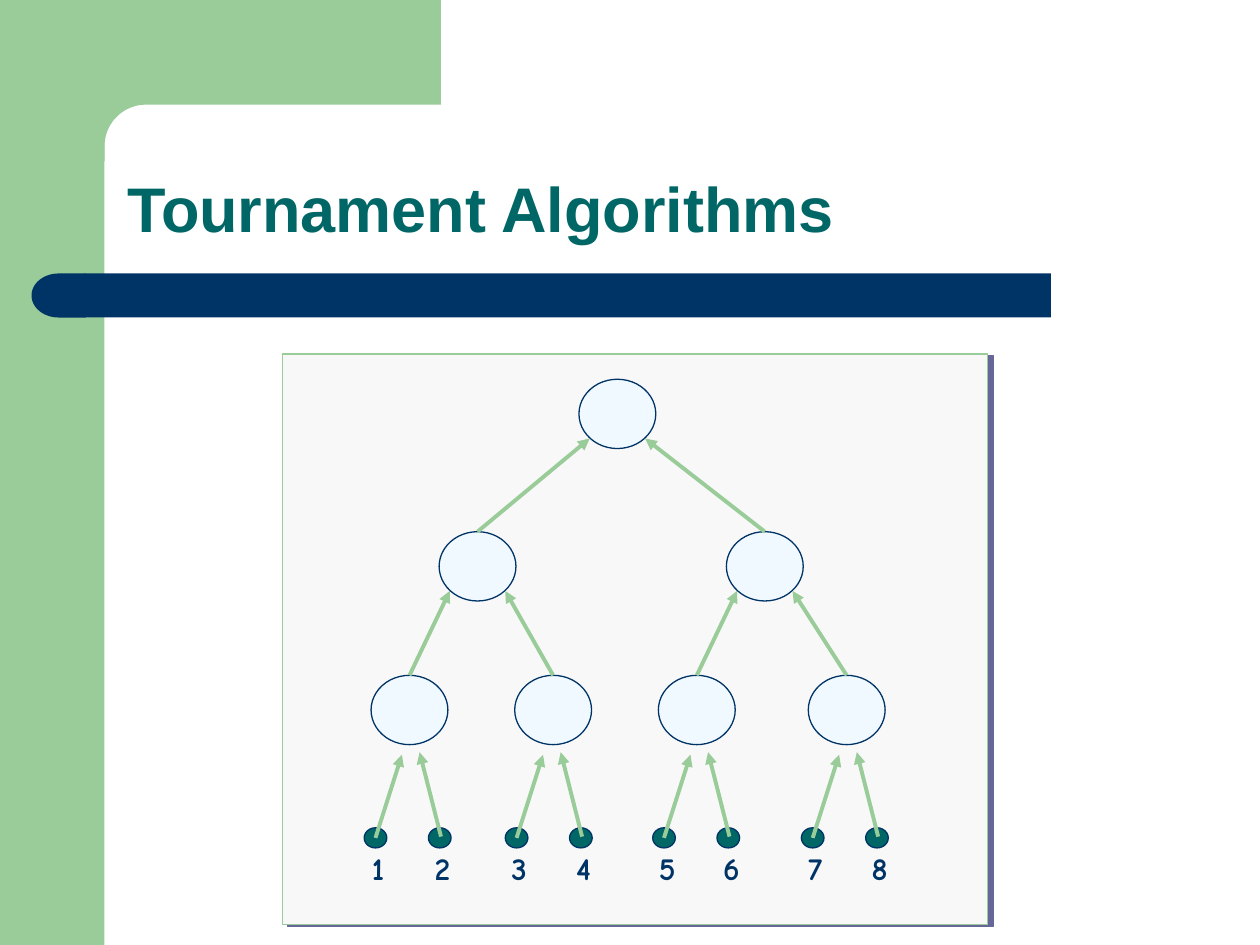
from math import cos, pi, sin

from lxml.etree import SubElement
from pptx import Presentation
from pptx.dml.color import RGBColor
from pptx.enum.shapes import MSO_CONNECTOR, MSO_SHAPE
from pptx.enum.text import MSO_ANCHOR, PP_ALIGN
from pptx.oxml.ns import qn
from pptx.util import Inches, Pt

THEME = {
    "green": RGBColor.from_string("99CC99"),
    "navy": RGBColor.from_string("003366"),
    "teal": RGBColor.from_string("006666"),
    "panel": RGBColor.from_string("F8F8F8"),
    "node": RGBColor.from_string("EFF9FF"),
    "shadow": "666699",
    "title_size": Pt(36),
    "label_size": Pt(18),
    "thin": Pt(0.75),
    "thick": Pt(2.25),
}

prs = Presentation()
prs.slide_width, prs.slide_height = Inches(10), Inches(7.5)
COL = prs.slide_width / 1000  # grid of 1000 columns
ROW = prs.slide_height / 750  # and 750 rows
s = prs.slides.add_slide(prs.slide_layouts[5])


def add_text(tf, text, font, size, color, align, anchor, spacing=1.0):
    tf.vertical_anchor = anchor
    p = tf.paragraphs[0]
    p.alignment, p.line_spacing = align, spacing
    r = p.add_run()
    r.text = text
    r.font.name, r.font.size, r.font.bold = font, size, True
    r.font.color.rgb = color


def add_box(kind, x, y, w, h, fill, line=None):
    sp = s.shapes.add_shape(kind, int(x * COL), int(y * ROW), int(w * COL), int(h * ROW))
    sp.shadow.inherit = False
    sp.fill.solid()
    sp.fill.fore_color.rgb = fill
    if line is None:
        sp.line.fill.background()
    else:
        sp.line.color.rgb, sp.line.width = line, THEME["thin"]
    return sp


# Green side band and top band with a rounded inner corner
add_box(MSO_SHAPE.RECTANGLE, 0, 0, 83, 750, THEME["green"])
arc = [(116 - 33 * sin(i * pi / 24), 116 - 33 * cos(i * pi / 24)) for i in range(13)]
outline = [(350, 83), *arc, (83, 128), (50, 128), (50, 0)]
builder = s.shapes.build_freeform(3500, 0, scale=COL / 10)
builder.add_line_segments([(x * 10, y * 10) for x, y in outline], close=True)
band = builder.convert_to_shape()
band.shadow.inherit = False
band.fill.solid()
band.fill.fore_color.rgb = THEME["green"]
band.line.fill.background()

# Navy bar with a round left end
add_box(MSO_SHAPE.RECTANGLE, 67, 217, 767, 35, THEME["navy"])
add_box(MSO_SHAPE.FLOWCHART_DELAY, 25, 217, 43, 35, THEME["navy"]).rotation = 180

# Title
title = s.shapes.title
title.left, title.top = int(91 * COL), int(91 * ROW)
title.width, title.height = int(851 * COL), int(109 * ROW)
add_text(title.text_frame, "Tournament Algorithms", font="Arial", size=THEME["title_size"],
         color=THEME["teal"], align=PP_ALIGN.LEFT, anchor=MSO_ANCHOR.BOTTOM, spacing=0.9)

# Panel with a hard shadow
panel = add_box(MSO_SHAPE.RECTANGLE, 224, 281, 560, 453, THEME["panel"], THEME["green"])
effects = panel._element.spPr.find(qn("a:effectLst"))
shadow = SubElement(effects, qn("a:outerShdw"), dist=str(Pt(3.2)), dir=str(18 * 60000),
                    algn="ctr", rotWithShape="0")
SubElement(shadow, qn("a:srgbClr"), val=THEME["shadow"])

# Match nodes: row top and the centre column of each node
NODE_W, NODE_H = 61, 55
levels = [(536, (325, 439, 553, 672)), (422, (379, 607)), (301, (490,))]
for top, centres in levels:
    for cx in centres:
        add_box(MSO_SHAPE.OVAL, cx - NODE_W / 2, top, NODE_W, NODE_H,
                THEME["node"], THEME["navy"])

# Arrows from each node to the lower corners of its parent
arrows = []
for (top, children), (parent_top, parents) in zip(levels, levels[1:]):
    for i, cx in enumerate(children):
        side = 22 if i % 2 else -22
        arrows.append((cx, top, parents[i // 2] + side, parent_top + 47))

# Players: a pair of numbered dots below each bottom node
DOT_W, DOT_H, PAIR_GAP = 18, 16, 51
for pair, left in enumerate((289, 401, 518, 636)):
    for i in range(2):
        x = left + i * PAIR_GAP
        add_box(MSO_SHAPE.OVAL, x, 657, DOT_W, DOT_H, THEME["teal"], THEME["navy"])
        label = s.shapes.add_textbox(int((x - 5) * COL), int(669 * ROW),
                                     int(32 * COL), int(40 * ROW))
        label.text_frame.word_wrap = False
        add_text(label.text_frame, str(2 * pair + i + 1), font="Comic Neue",
                 size=THEME["label_size"], color=THEME["navy"],
                 align=PP_ALIGN.CENTER, anchor=MSO_ANCHOR.TOP)
    arrows += [(left + 9, 665, left + 30, 599), (left + 61, 664, left + 44, 597)]

for x1, y1, x2, y2 in arrows:
    c = s.shapes.add_connector(MSO_CONNECTOR.STRAIGHT, int(x1 * COL), int(y1 * ROW),
                               int(x2 * COL), int(y2 * ROW))
    c.line.color.rgb, c.line.width = THEME["green"], THEME["thick"]
    SubElement(c.line._get_or_add_ln(), qn("a:tailEnd"), type="triangle")
    SubElement(c._element.spPr, qn("a:effectLst"))

prs.save("out.pptx")
